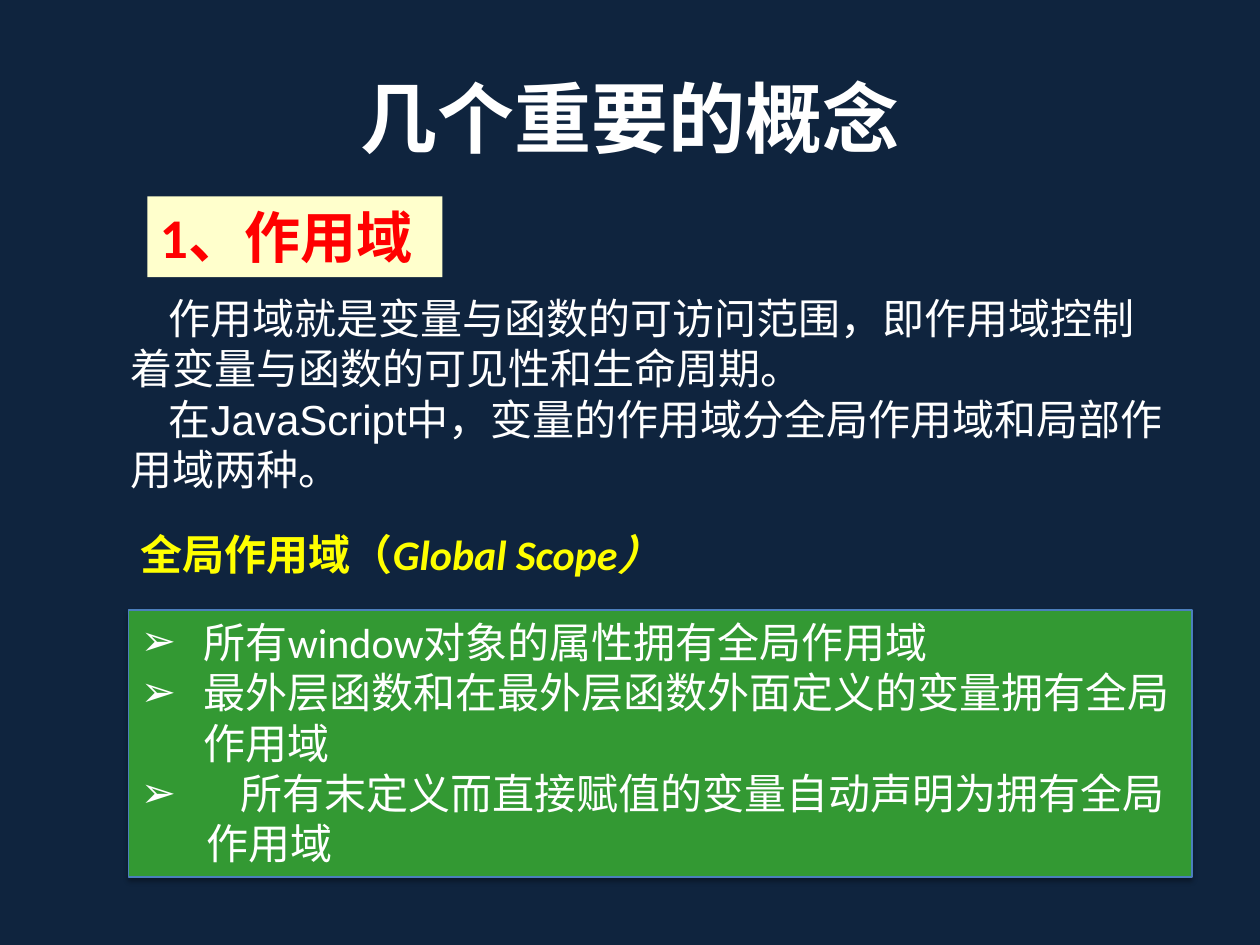
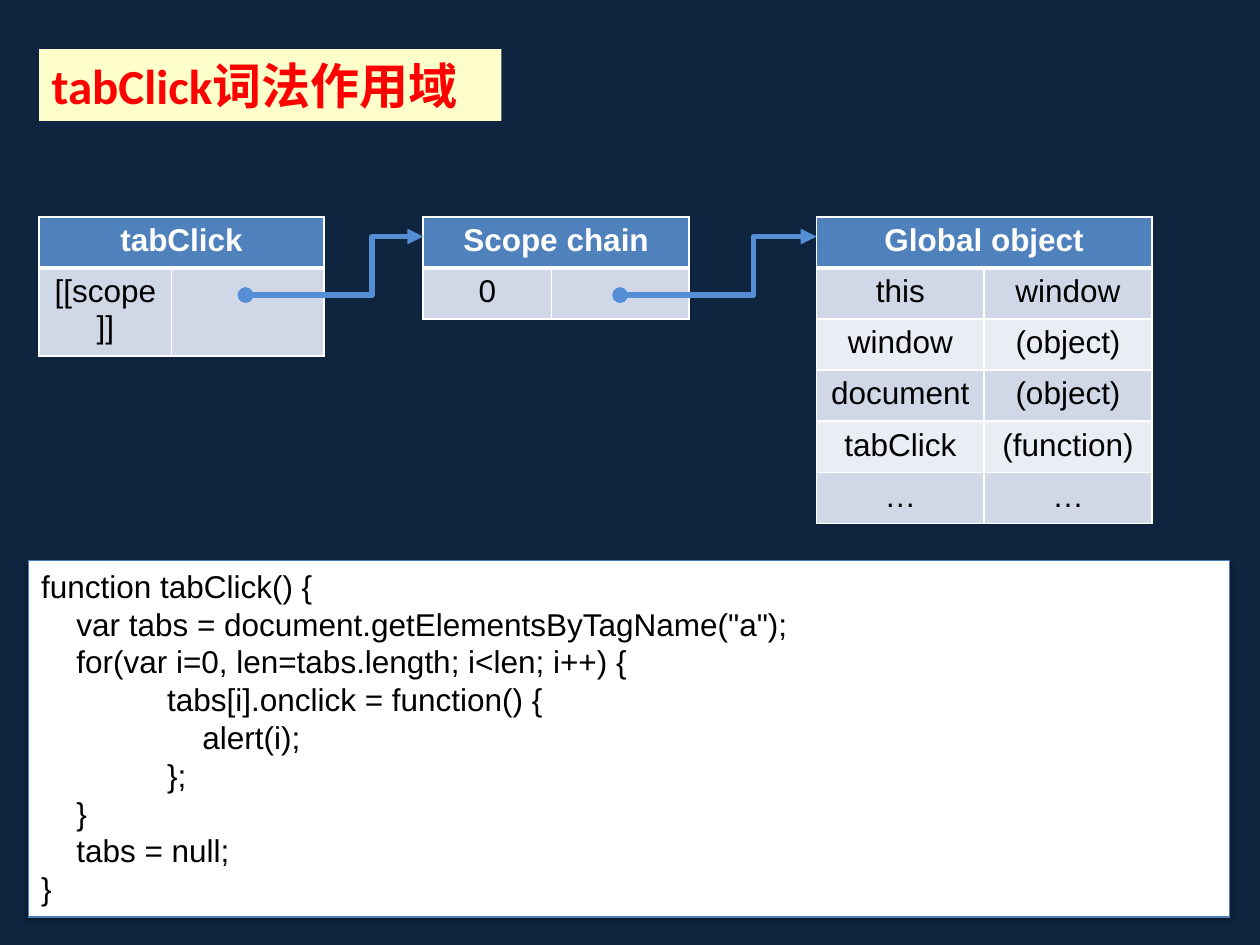
import pptx
import pptx.util
import pptx.dml.color
import pptx.enum.shapes
import pptx.enum.text
import pptx.oxml
import pptx.oxml.ns
import lxml.etree

Cm, Pt = pptx.util.Cm, pptx.util.Pt
RGB = pptx.dml.color.RGBColor
qn = pptx.oxml.ns.qn
ALIGN = pptx.enum.text.PP_ALIGN
ANCHOR = pptx.enum.text.MSO_ANCHOR

# Shared look
NAVY, WHITE, BLACK = RGB(15, 36, 62), RGB(255, 255, 255), RGB(0, 0, 0)
RED, CREAM, YELLOW = RGB(255, 0, 0), RGB(255, 255, 204), RGB(255, 255, 0)
GREEN, EDGE, ARROW = RGB(51, 153, 51), RGB(75, 126, 188), RGB(85, 142, 213)
HEAD, BANDS = RGB(79, 129, 189), (RGB(208, 216, 232), RGB(233, 237, 244))
HAN = "Noto Sans CJK SC"

# Content of slide 1; each line is (text, left margin, first-line indent, bullet)
TITLE = "几个重要的概念"
TOPIC = "1、作用域"
INTRO = [
    ("作用域就是变量与函数的可访问范围，即作用域控制着变量与函数的可见性和生命周期。", 0, 0.76, ""),
    ("在JavaScript中，变量的作用域分全局作用域和局部作用域两种。", 0, 0.76, ""),
]
SCOPE = [("全局作用域（", False), ("Global Scope）", True)]
RULES = [
    ("所有window对象的属性拥有全局作用域", 1.27, -1.27, "➢"),
    ("最外层函数和在最外层函数外面定义的变量拥有全局作用域", 1.27, -1.27, "➢"),
    ("所有末定义而直接赋值的变量自动声明为拥有全局", 2, -2, "➢"),
    ("作用域", 1.33, 0, ""),
]

# Content of slide 2; code lines are (text, tabs, steps)
LEXIC = "tabClick词法作用域"
TABLES = [  # left, column widths, header, rows
    (0.79, (2.67, 3.07), "tabClick", [("[[scope]]", "")]),
    (8.53, (2.59, 2.77), "Scope chain", [("0", "")]),
    (16.46, (3.38, 3.38), "Global object", [
        ("this", "window"), ("window", "(object)"), ("document", "(object)"),
        ("tabClick", "(function)"), ("…", "…")]),
]
LINKS = [(4.95, 8.53, 71300), (12.5, 16.46, 68100)]  # from, to, bend
CODE = [
    ("function tabClick() {", 0, 0),
    ('var tabs = document.getElementsByTagName("a");', 0, 1),
    ("for(var i=0, len=tabs.length; i<len; i++) {", 0, 1),
    ("tabs[i].onclick = function() {", 1, 0),
    ("alert(i);", 1, 1),
    ("};", 1, 0),
    ("}", 0, 1),
    ("tabs = null;", 0, 1),
    ("}", 0, 0),
]
TAB, STEP = 2.54, 0.71
TOP, ROW = 4.37, 1.03


def node(parent, tag, **attrs):
    item = lxml.etree.SubElement(parent, qn(tag))
    for key, val in attrs.items():
        item.set(key, str(val))
    return item


def write(para, text, size, color, font="Arial", bold=False, slant=False):
    run = para.add_run()
    run.text = text
    face = run.font
    face.size, face.name, face.bold, face.italic = Pt(size), font, bold, slant
    face.color.rgb = color
    node(run._r.get_or_add_rPr(), "a:ea", typeface=HAN)


def indent(para, left, first, mark=""):
    props = para._p.get_or_add_pPr()
    props.set("marL", str(Cm(left)))
    props.set("indent", str(Cm(first)))
    if mark:
        node(props, "a:buFont", typeface="Arial")
        node(props, "a:buChar", char=mark)


def shade(shape, alpha, dist):
    effect = node(shape._element.spPr, "a:effectLst")
    outer = node(effect, "a:outerShdw", blurRad=Pt(3.1), dist=Pt(dist),
                 dir=5400000, rotWithShape=0)
    node(node(outer, "a:srgbClr", val="000000"), "a:alpha", val=alpha * 1000)


def box(slide, area, fill=None, edge=None, shadow=None):
    """Text frame, on a filled rectangle if a fill is given."""
    area = [Cm(n) for n in area]
    if fill is None:
        shape = slide.shapes.add_textbox(*area)
    else:
        shape = slide.shapes.add_shape(
            pptx.enum.shapes.MSO_SHAPE.RECTANGLE, *area)
        shape.fill.solid()
        shape.fill.fore_color.rgb = fill
        if edge is None:
            shape.line.fill.background()
        else:
            shape.line.color.rgb, shape.line.width = edge, Pt(0.75)
        if shadow:
            shade(shape, *shadow)
        else:
            shape.shadow.inherit = False
    frame = shape.text_frame
    frame.word_wrap, frame.vertical_anchor = True, ANCHOR.TOP
    frame.paragraphs[0].alignment = ALIGN.LEFT
    return frame


def fill_in(frame, lines, size, color, font):
    for i, (text, left, first, mark) in enumerate(lines):
        para = frame.add_paragraph() if i else frame.paragraphs[0]
        para.alignment = ALIGN.LEFT
        indent(para, left, first, mark)
        write(para, text, size, color, font)


def label(slide, area, text, size):
    frame = box(slide, area, CREAM)
    write(frame.paragraphs[0], text, size, RED, "Calibri", True)


def paint(cell, fill, row):
    props = cell._tc.get_or_add_tcPr()
    thick = {"a:lnB": row == 0, "a:lnT": row == 1}
    for tag in ("a:lnL", "a:lnR", "a:lnT", "a:lnB"):
        line = node(props, tag, w=Pt(3 if thick.get(tag) else 1))
        node(node(line, "a:solidFill"), "a:srgbClr", val=WHITE)
    cell.fill.solid()
    cell.fill.fore_color.rgb = fill


def grid(slide, left, widths, head, rows):
    count = len(rows) + 1
    table = slide.shapes.add_table(
        count, 2, Cm(left), Cm(TOP), Cm(sum(widths)), Cm(ROW * count)).table
    for col, width in zip(table.columns, widths):
        col.width = Cm(width)
    for r, texts in enumerate([(head, "")] + rows):
        table.rows[r].height = Cm(ROW)
        for c, text in enumerate(texts):
            cell = table.cell(r, c)
            paint(cell, BANDS[(r - 1) % 2] if r else HEAD, r)
            para = cell.text_frame.paragraphs[0]
            para.alignment = ALIGN.CENTER
            if text:
                write(para, text, 18, BLACK if r else WHITE, bold=r == 0)
            else:
                para.font.size = Pt(18)
    table.cell(0, 0).merge(table.cell(0, 1))


def link(slide, start, end, bend):
    wire = slide.shapes.add_connector(
        pptx.enum.shapes.MSO_CONNECTOR.ELBOW,
        Cm(start), Cm(5.95), Cm(end), Cm(4.77))
    wire.line.color.rgb, wire.line.width = ARROW, Pt(3)
    props = wire._element.spPr
    node(props.find(".//" + qn("a:avLst")), "a:gd", name="adj1",
         fmla=f"val {bend}")
    line = props.find(qn("a:ln"))
    node(line, "a:headEnd", type="oval")
    node(line, "a:tailEnd", type="triangle")
    node(props, "a:effectLst")


deck = pptx.Presentation()
deck.slide_width, deck.slide_height = Cm(25.4), Cm(19.05)


def page():
    slide = deck.slides.add_slide(deck.slide_layouts[6])
    slide.background.fill.solid()
    slide.background.fill.fore_color.rgb = NAVY
    return slide


# Slide 1: concepts
one = page()
frame = box(one, (1.27, 0.76, 22.86, 3.18))
frame.vertical_anchor = ANCHOR.MIDDLE
frame.paragraphs[0].alignment = ALIGN.CENTER
write(frame.paragraphs[0], TITLE, 44, WHITE, HAN, True)
fill_in(box(one, (2.39, 5.77, 21.44, 4.37)), INTRO, 24, WHITE, "Arial")
label(one, (2.97, 3.96, 5.95, 1.63), TOPIC, 32)
fill_in(box(one, (2.59, 12.3, 21.44, 5.38), GREEN, EDGE, (35, 1.8)),
        RULES, 24, WHITE, "Calibri")
para = box(one, (2.59, 10.52, 19.05, 1.3)).paragraphs[0]
for text, slant in SCOPE:
    write(para, text, 24, YELLOW, "Calibri", True, slant)

# Slide 2: scope chain and code
two = page()
for item in TABLES:
    grid(two, *item)
lines = [(text, tabs * TAB + steps * STEP, 0, "") for text, tabs, steps in CODE]
fill_in(box(two, (0.58, 11.3, 24.21, 7.19), WHITE, EDGE, (38, 1.6)),
        lines, 18, BLACK, "Arial")
for item in LINKS:
    link(two, *item)
label(two, (0.79, 0.99, 9.32, 1.45), LEXIC, 28)

deck.save("out.pptx")
